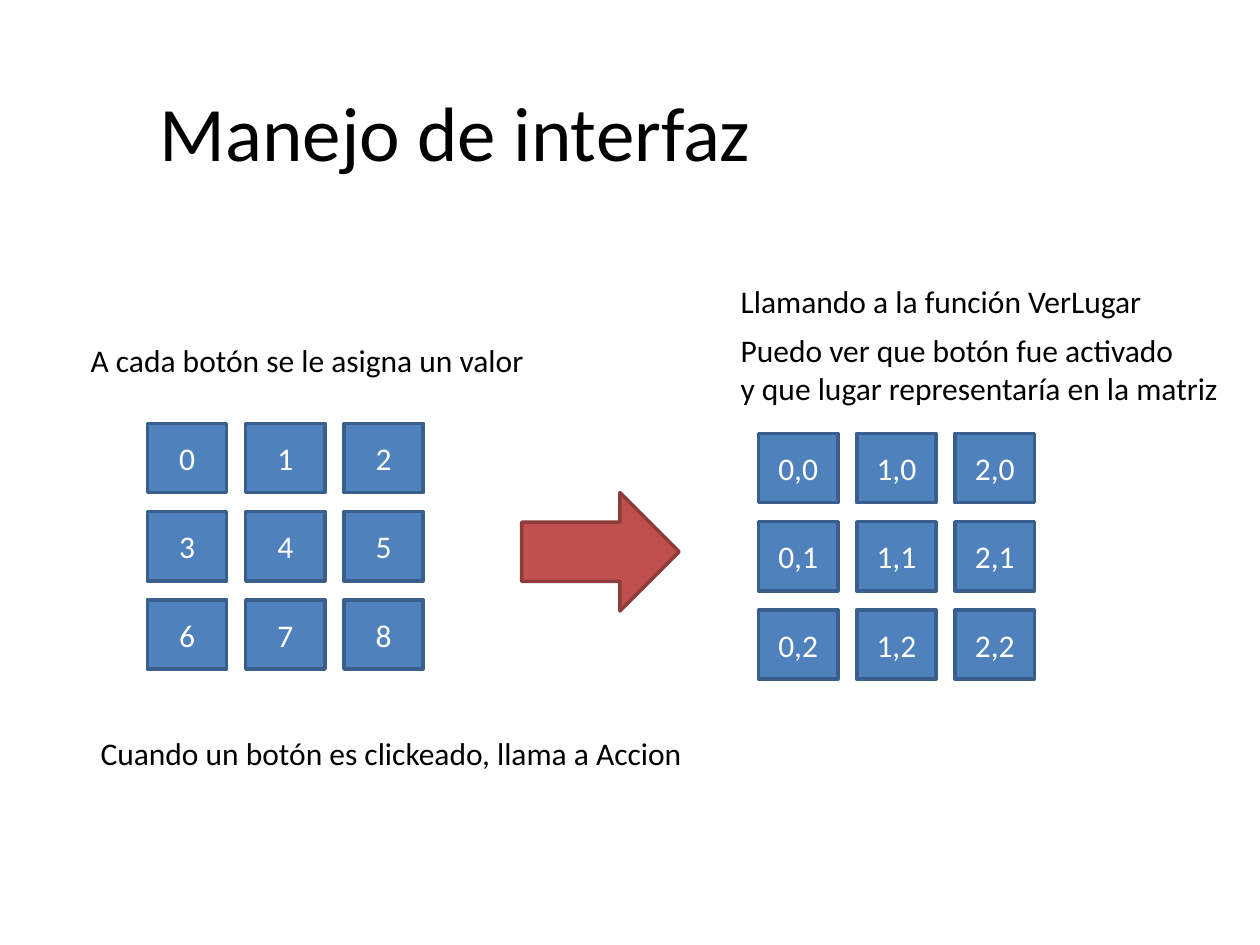
from pptx import Presentation
from pptx.dml.color import RGBColor
from pptx.enum.shapes import MSO_SHAPE as Shape
from pptx.enum.text import MSO_ANCHOR as Anchor, MSO_AUTO_SIZE as AutoSize, PP_ALIGN as Align
from pptx.util import Inches, Pt

COLORS = {
    "text": "000000",
    "button": "4F81BD",
    "button_line": "3A5F8C",
    "button_text": "FFFFFF",
    "arrow": "C0504D",
    "arrow_line": "8E3B39",
}


def write_text(shape, text, size=18, color="text", align=Align.LEFT, anchor=Anchor.TOP):
    frame = shape.text_frame
    frame.vertical_anchor = anchor
    frame.text = text
    for paragraph in frame.paragraphs:
        paragraph.alignment = align
        paragraph.font.name = "Calibri"
        paragraph.font.size = Pt(size)
        paragraph.font.color.rgb = RGBColor.from_string(COLORS[color])


def add_filled_shape(kind, left, top, width, height, color):
    shape = slide.shapes.add_shape(kind, Inches(left), Inches(top), Inches(width), Inches(height))
    shape.shadow.inherit = False
    shape.fill.solid()
    shape.fill.fore_color.rgb = RGBColor.from_string(COLORS[color])
    shape.line.color.rgb = RGBColor.from_string(COLORS[color + "_line"])
    shape.line.width = Pt(2)
    return shape


presentation = Presentation()
presentation.slide_width = Inches(10)
presentation.slide_height = Inches(7.5)
slide = presentation.slides.add_slide(presentation.slide_layouts[6])

# Title and explanations
texts = [
    ("Manejo de interfaz", 1.17, 0.62, 4.94, 0.84, 44),
    ("A cada botón se le asigna un valor", 0.62, 2.66, 3.68, 0.4, 18),
    ("Llamando a la función VerLugar", 5.78, 2.19, 3.42, 0.4, 18),
    ("Puedo ver que botón fue activado\ny que lugar representaría en la matriz",
     5.78, 2.58, 4.04, 0.71, 18),
    ("Cuando un botón es clickeado, llama a Accion", 0.7, 5.78, 4.87, 0.4, 18),
]
for text, left, top, width, height, size in texts:
    box = slide.shapes.add_textbox(Inches(left), Inches(top), Inches(width), Inches(height))
    box.text_frame.word_wrap = False
    box.text_frame.auto_size = AutoSize.SHAPE_TO_FIT_TEXT
    write_text(box, text, size=size)

# Button grids: values on the left, matrix positions on the right
column_step, row_step = 0.78, 0.7
grids = [(1.17, 3.36, "values"), (6.02, 3.44, "positions")]
for grid_left, grid_top, content in grids:
    for row in range(3):
        for column in range(3):
            label = str(3 * row + column) if content == "values" else f"{column},{row}"
            button = add_filled_shape(Shape.RECTANGLE, grid_left + column * column_step,
                                      grid_top + row * row_step, 0.63, 0.55, "button")
            write_text(button, label, color="button_text", align=Align.CENTER,
                       anchor=Anchor.MIDDLE)

# Arrow from values to positions
add_filled_shape(Shape.RIGHT_ARROW, 4.14, 3.91, 1.25, 0.94, "arrow")

presentation.save("out.pptx")
